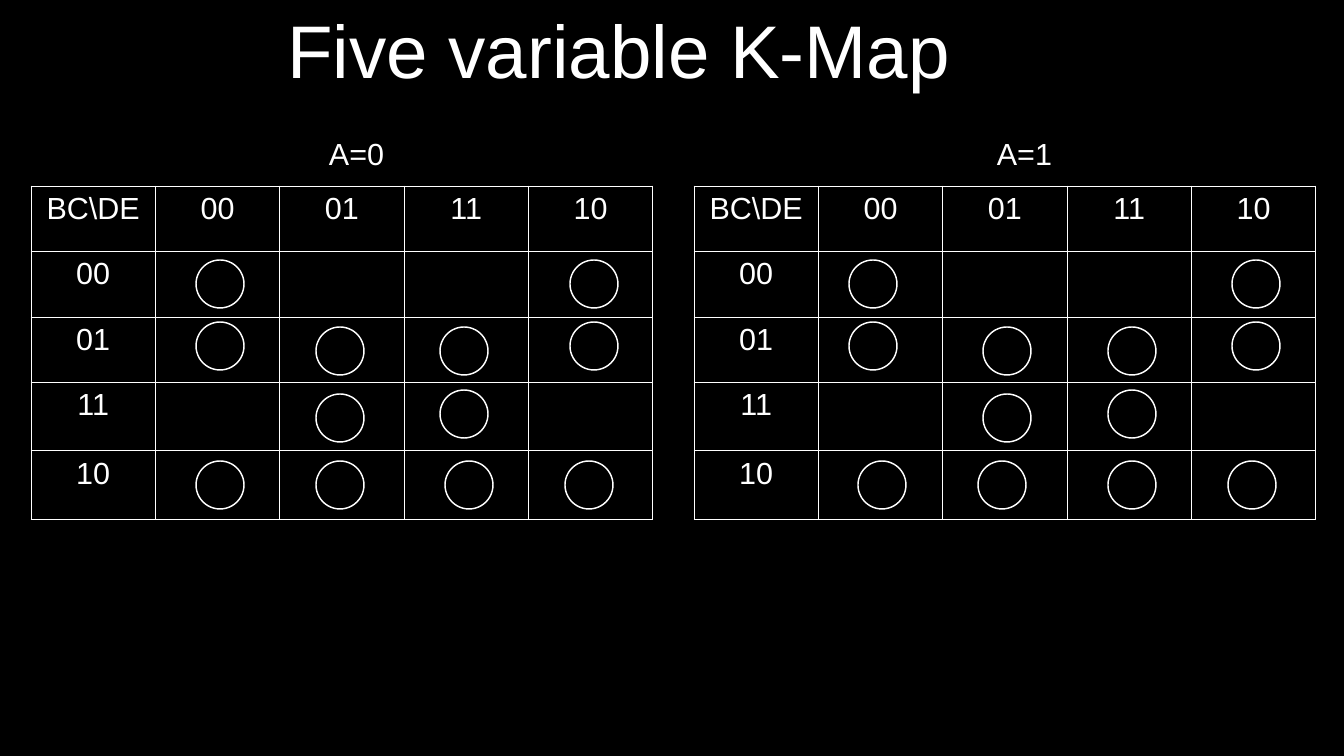
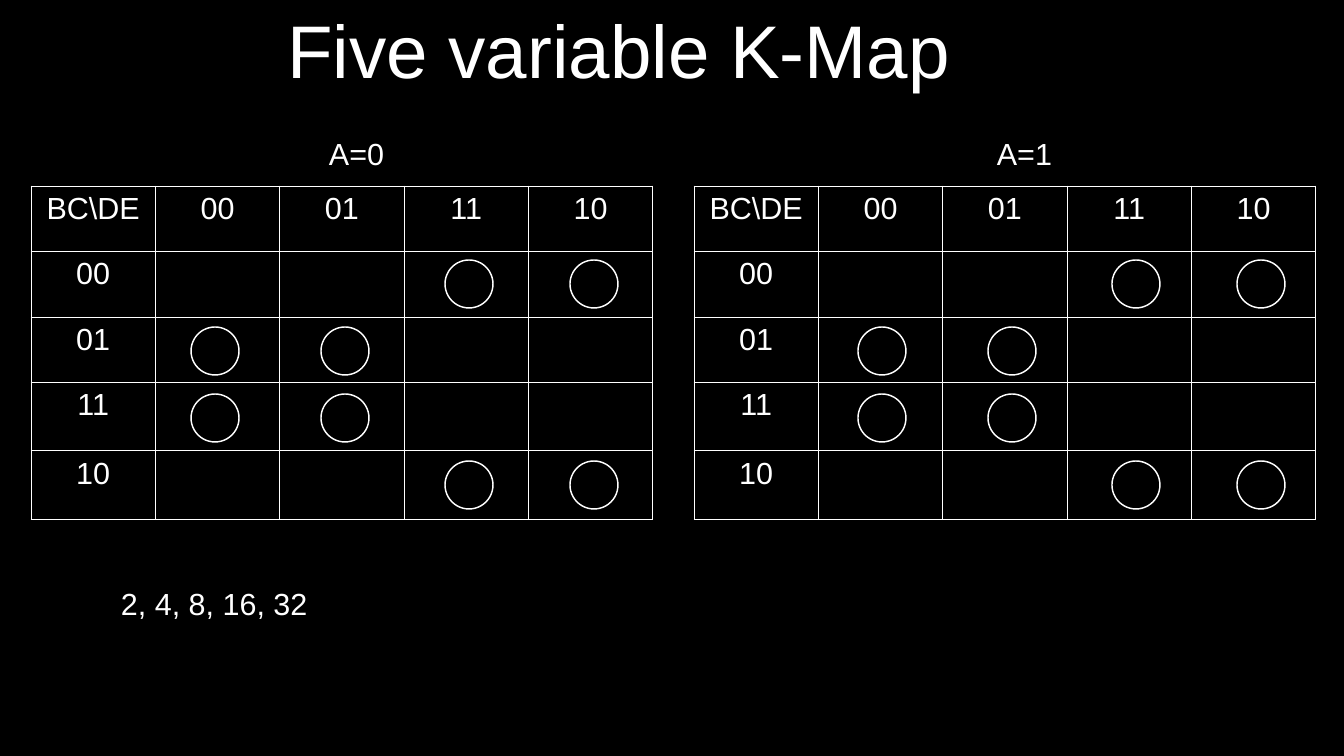
from lxml.etree import SubElement as Sub
from pptx import Presentation
from pptx.dml.color import RGBColor as RGB
from pptx.enum.shapes import MSO_SHAPE as Shape
from pptx.enum.text import MSO_ANCHOR as Anchor, MSO_AUTO_SIZE as Auto, PP_ALIGN as Align
from pptx.oxml.ns import qn
from pptx.util import Emu, Pt

# Content
TITLE = "Five variable K-Map"
CODES = ["00", "01", "11", "10"]
HEAD = ["BC\\DE"] + CODES
MAPS = [("A=0", 317, 31), ("A=1", 985, 694)]  # label, label left, table left
# Rings of each slide: top of the row, then the left of each ring in it
SLIDES = [
    {"rings": [(260, [196, 570, 849, 1232]),
               (322, [196, 570, 849, 1232]),
               (327, [316, 440, 983, 1108]),
               (390, [440, 1108]),
               (394, [316, 983]),
               (461, [196, 316, 445, 565, 858, 978, 1108, 1228])],
     "notes": []},
    {"rings": [(260, [445, 570, 1112, 1237]),
               (327, [191, 321, 858, 988]),
               (394, [191, 321, 858, 988]),
               (461, [445, 570, 1112, 1237])],
     "notes": [("2, 4, 8, 16, 32", 109, 579, 220)]},
]

# Shared style
COLORS = {"back": "000000", "ink": "FFFFFF"}
FONT = "Arial"
SCALE = 914400 / 122
WIDE, HIGH = 1344, 756
TOP, SPAN = 186, 622
ROWS = [65, 66, 65, 69, 69]
RING = 48
INSET = {"margin_left": 5, "margin_right": 5, "margin_top": 6, "margin_bottom": 6}
PAD = {"margin_left": 12, "margin_right": 12, "margin_top": 6, "margin_bottom": 6}
FLUSH = dict.fromkeys(PAD, 0)


def px(n):
    return Emu(round(n * SCALE))


def tint(name):
    return RGB.from_string(COLORS[name])


def setall(item, vals):
    for key, val in vals.items():
        setattr(item, key, val)


def margins(item, vals):
    setall(item, {key: px(val) for key, val in vals.items()})


def write(frame, text, size=18, align=Align.LEFT):
    para = frame.paragraphs[0]
    para.alignment = align
    run = para.add_run()
    run.text = text
    setall(run.font, {"name": FONT, "size": Pt(size)})
    run.font.color.rgb = tint("ink")


def label(slide, text, box, pad=PAD, size=18, align=Align.LEFT, anchor=Anchor.TOP):
    frame = slide.shapes.add_textbox(*map(px, box)).text_frame
    setall(frame, {"word_wrap": True, "auto_size": Auto.SHAPE_TO_FIT_TEXT,
                   "vertical_anchor": anchor})
    margins(frame, pad)
    write(frame, text, size, align)


def edge(cell):
    props = cell._tc.get_or_add_tcPr()
    for i, side in enumerate(["lnL", "lnR", "lnT", "lnB"]):
        line = Sub(props, qn("a:" + side), w=str(Pt(0.57)))
        fill = Sub(line, qn("a:solidFill"))
        Sub(fill, qn("a:srgbClr"), val=COLORS["ink"])
        props.remove(line)
        props.insert(i, line)


def grid(slide, left):
    size = len(HEAD)
    box = map(px, (left, TOP, SPAN, sum(ROWS)))
    table = slide.shapes.add_table(size, size, *box).table
    setall(table, {"first_row": False, "horz_banding": False})
    for i, high in enumerate(ROWS):
        table.columns[i].width = px(SPAN / size)
        table.rows[i].height = px(high)
    for r in range(size):
        for c in range(size):
            cell = table.cell(r, c)
            cell.fill.background()
            margins(cell, INSET)
            edge(cell)
            if r == 0 or c == 0:
                write(cell.text_frame, HEAD[r or c], align=Align.CENTER)


def ring(slide, x, y):
    oval = slide.shapes.add_shape(Shape.OVAL, *map(px, (x, y, RING, RING)))
    oval.shadow.inherit = False
    oval.fill.background()
    oval.line.color.rgb = tint("ink")
    oval.line.width = Pt(0.85)


def build(deck, data):
    slide = deck.slides.add_slide(deck.slide_layouts[6])
    # Title
    label(slide, TITLE, (19, 5, 1200, 88), FLUSH, 44, Align.CENTER, Anchor.MIDDLE)
    # Maps
    for _, _, left in MAPS:
        grid(slide, left)
    for text, x, _ in MAPS:
        label(slide, text, (x, 129, 90, 46))
    # Rings
    for y, spots in data["rings"]:
        for x in spots:
            ring(slide, x, y)
    # Notes below the maps
    for text, x, y, wide in data["notes"]:
        label(slide, text, (x, y, wide, 46))


def main():
    deck = Presentation()
    setall(deck, {"slide_width": px(WIDE), "slide_height": px(HIGH)})
    back = deck.slide_master.background.fill
    back.solid()
    back.fore_color.rgb = tint("back")
    for data in SLIDES:
        build(deck, data)
    deck.save("out.pptx")


if __name__ == "__main__":
    main()
